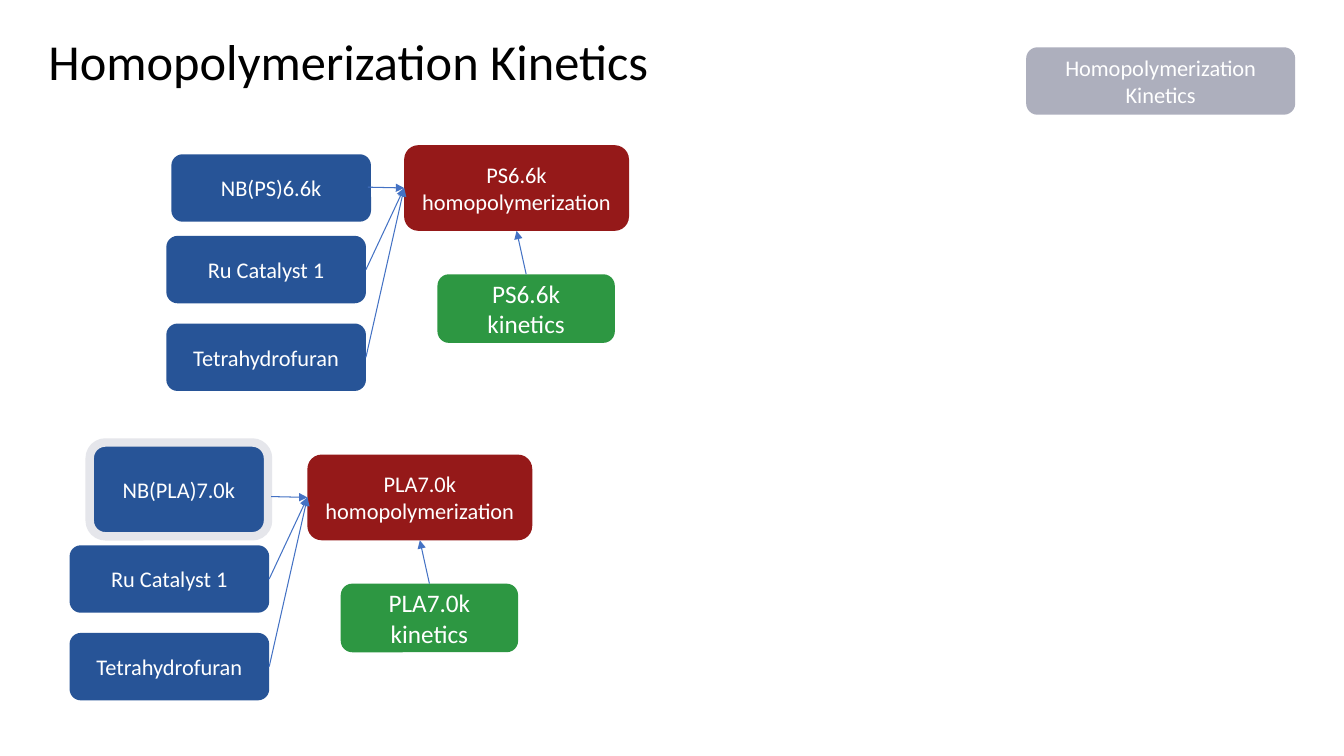
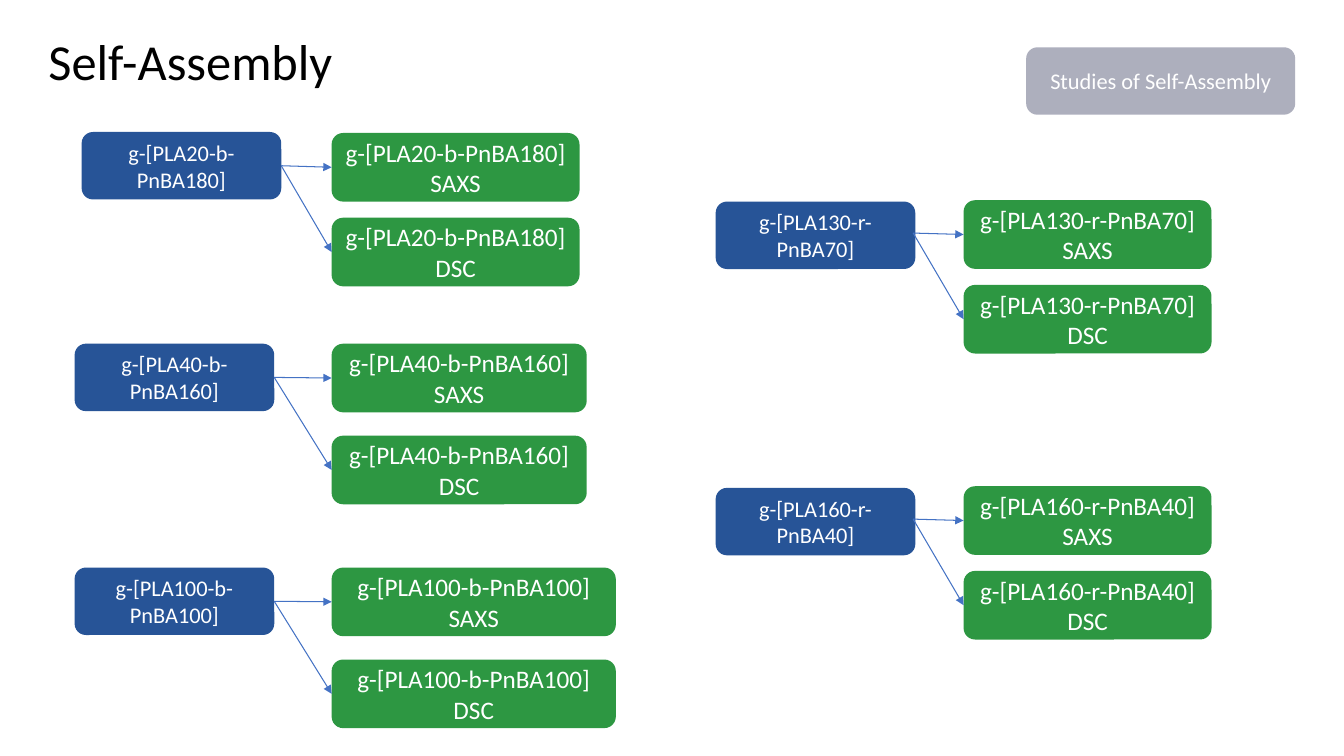
from dataclasses import dataclass

from lxml import etree
from pptx import Presentation
from pptx.dml.color import RGBColor
from pptx.enum.shapes import MSO_CONNECTOR, MSO_SHAPE
from pptx.enum.text import MSO_ANCHOR, MSO_AUTO_SIZE, PP_ALIGN
from pptx.oxml.ns import qn
from pptx.util import Pt

ROUNDED = MSO_SHAPE.ROUNDED_RECTANGLE
STRAIGHT = MSO_CONNECTOR.STRAIGHT
MIDDLE, BOTTOM = MSO_ANCHOR.MIDDLE, MSO_ANCHOR.BOTTOM
LEFT, CENTER = PP_ALIGN.LEFT, PP_ALIGN.CENTER
NO_FIT = MSO_AUTO_SIZE.NONE
TITLE_ONLY = 5
# Connection sites of a rounded rectangle
TOP_SITE, LEFT_SITE, BOTTOM_SITE, RIGHT_SITE = range(4)


@dataclass(frozen=True)
class BoxStyle:
    fill: str
    width: float
    height: float
    text_size: float


@dataclass(frozen=True)
class Theme:
    font: str = "Calibri"
    title_size: float = 36
    title_color: str = "000000"
    box_text: str = "FFFFFF"
    arrow: str = "4472C4"
    arrow_width: float = 0.75
    highlight: str = "E5E6EB"
    highlight_width: float = 6
    section: BoxStyle = BoxStyle("ADAFBD", 192.2, 48.2, 16)
    material: BoxStyle = BoxStyle("275497", 142.6, 48.2, 16)
    reaction: BoxStyle = BoxStyle("951919", 160.6, 61.2, 16)
    result: BoxStyle = BoxStyle("2D9742", 126.7, 49, 18)


THEME = Theme()

# monomer, reaction left and top, macromonomer at, its size, highlighted
REACTIONS = [
    ("PS", "6.6k", 288.7, 103.7, (122.4, 110.2), (142.6, 48.2), False),
    ("PLA", "7.0k", 219.6, 324.7, (64.1, 316.1), (127.4, 67), True),
]

# polymer, material at, results at, result width, result pitch, arrow start
POLYMERS = [
    ("g-[PLA20-b-PnBA180]", (58.3, 94.3), (236.9, 95), 177.1, 60.5, None),
    ("g-[PLA40-b-PnBA160]", (53.3, 245.5), (236.9, 245.5), 182.2, 65.7, None),
    ("g-[PLA100-b-PnBA100]", (53.3, 405.4), (236.9, 405.4), 203, 65.7, None),
    ("g-[PLA130-r-PnBA70]", (511.2, 144), (688.3, 143), 177.1, 60.5, (652.3, 166.5)),
    ("g-[PLA160-r-PnBA40]", (511.2, 348.5), (688.3, 347.3), 177.1, 60.5, (652.3, 370.8)),
]


def style_text(frame, size, color, align):
    for para in frame.paragraphs:
        para.alignment = align
        for span in para.runs:
            span.font.name = THEME.font
            span.font.size = Pt(size)
            span.font.color.rgb = RGBColor.from_string(color)


def add_box(slide, text, at, style, size=None, highlighted=False):
    width, height = size or (style.width, style.height)
    box = slide.shapes.add_shape(ROUNDED, *map(Pt, (*at, width, height)))
    box.shadow.inherit = False
    box.fill.solid()
    box.fill.fore_color.rgb = RGBColor.from_string(style.fill)
    if highlighted:
        box.line.color.rgb = RGBColor.from_string(THEME.highlight)
        box.line.width = Pt(THEME.highlight_width)
    else:
        box.line.fill.background()
    frame = box.text_frame
    frame.text = text
    frame.word_wrap = True
    frame.vertical_anchor = MIDDLE
    style_text(frame, style.text_size, THEME.box_text, CENTER)
    return box


def add_arrow(slide, source, target, start=None, sites=(RIGHT_SITE, LEFT_SITE)):
    """Join two boxes; a given start point replaces the site on the source."""
    arrow = slide.shapes.add_connector(STRAIGHT, *map(Pt, (start or (0, 0)) * 2))
    if start is None:
        arrow.begin_connect(source, sites[0])
    arrow.end_connect(target, sites[1])
    arrow.line.color.rgb = RGBColor.from_string(THEME.arrow)
    arrow.line.width = Pt(THEME.arrow_width)
    etree.SubElement(arrow.get_or_add_ln(), qn("a:tailEnd"), type="triangle")
    etree.SubElement(arrow._element.spPr, qn("a:effectLst"))


def add_page(deck, heading, section):
    page = deck.slides.add_slide(deck.slide_layouts[TITLE_ONLY])
    title = page.shapes.title
    title.left, title.top, title.width, title.height = map(Pt, (27.4, 20.9, 828, 48.2))
    frame = title.text_frame
    frame.text = heading
    frame.auto_size = NO_FIT
    frame.vertical_anchor = BOTTOM
    frame.paragraphs[0].line_spacing = 0.9
    style_text(frame, THEME.title_size, THEME.title_color, LEFT)
    add_box(page, section, (733, 33.8), THEME.section)
    return page


def add_reaction(page, monomer, mass, left, top, macro_at, macro_size, highlighted):
    """Draw the inputs, the reaction and its kinetics around the reaction box."""
    name = monomer + mass
    reaction = add_box(page, f"{name} homopolymerization", (left, top), THEME.reaction)
    macromonomer = add_box(page, f"NB({monomer}){mass}", macro_at, THEME.material,
                           macro_size, highlighted)
    add_arrow(page, macromonomer, reaction, (left - 25.9, top + 30))
    for text, drop in (("Ru Catalyst 1", 64.8), ("Tetrahydrofuran", 127.4)):
        reagent = add_box(page, text, (left - 169.9, top + drop), THEME.material)
        add_arrow(page, reagent, reaction)
    kinetics = add_box(page, f"{name} kinetics", (left + 23.8, top + 92.2), THEME.result)
    add_arrow(page, kinetics, reaction, sites=(TOP_SITE, BOTTOM_SITE))


def add_polymer(page, name, at, results_at, width, pitch, start):
    """Draw a polymer and the measurements made on it."""
    polymer = add_box(page, name, at, THEME.material)
    left, top = results_at
    for row, method in enumerate(("SAXS", "DSC")):
        result = add_box(page, f"{name}\n{method}", (left, top + row * pitch),
                         THEME.result, (width, THEME.result.height))
        add_arrow(page, polymer, result, start)


def main():
    deck = Presentation()
    deck.slide_width, deck.slide_height = Pt(960), Pt(540)

    page = add_page(deck, "Homopolymerization Kinetics", "Homopolymerization Kinetics")
    for reaction in REACTIONS:
        add_reaction(page, *reaction)

    page = add_page(deck, "Self-Assembly", "Studies of Self-Assembly")
    for polymer in POLYMERS:
        add_polymer(page, *polymer)

    deck.save("out.pptx")


if __name__ == "__main__":
    main()
